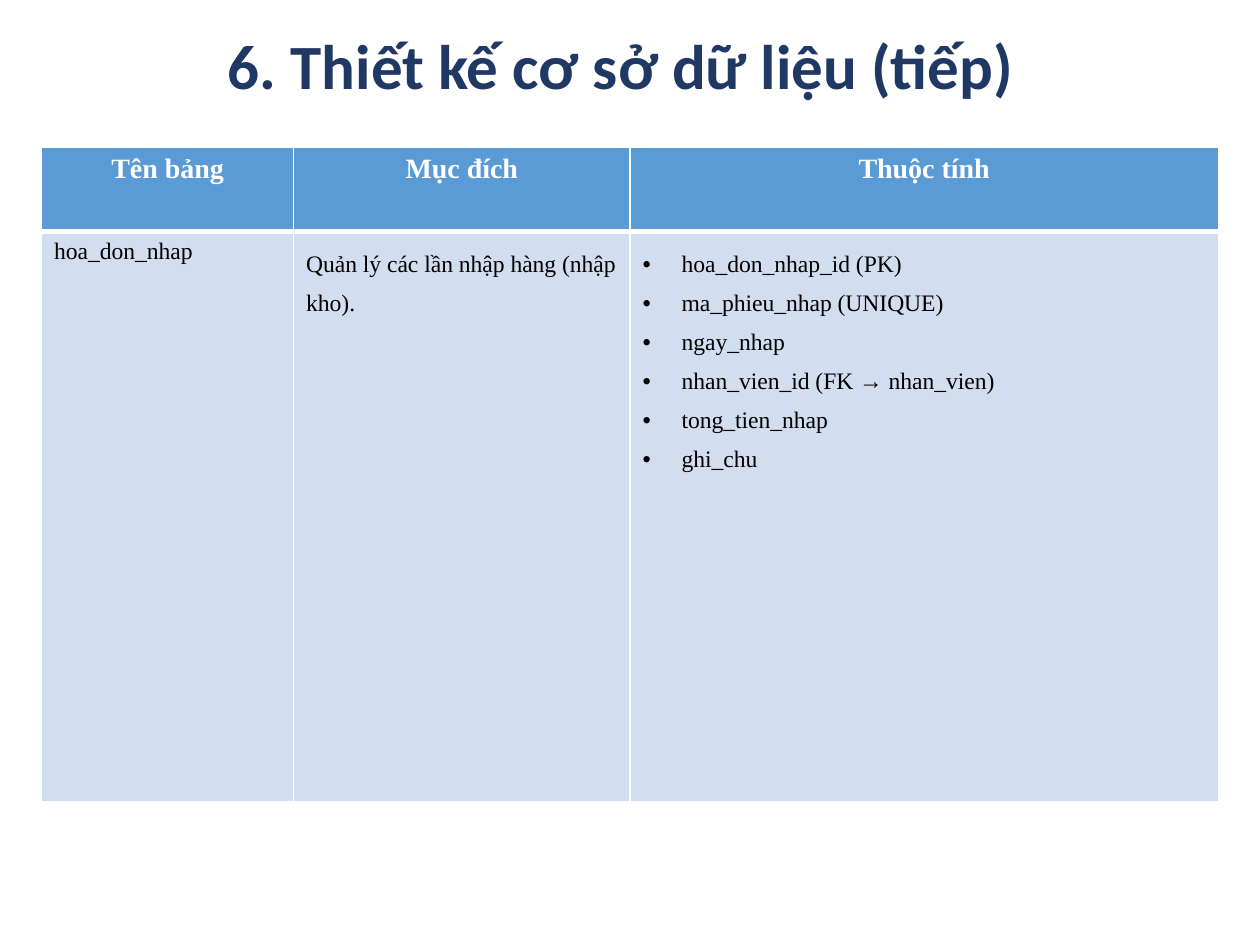
from lxml.etree import SubElement
from pptx import Presentation
from pptx.dml.color import RGBColor
from pptx.enum.text import MSO_ANCHOR, PP_ALIGN
from pptx.oxml.ns import qn
from pptx.util import Inches, Pt


def color(hex_code):
    return RGBColor.from_string(hex_code)


def add_borders(cell, widths):
    """Draw white cell edges; widths maps each edge to points."""
    properties = cell._tc.get_or_add_tcPr()
    for edge, width in widths.items():
        line = SubElement(properties, qn(f"a:ln{edge}"), w=str(Pt(width)))
        fill = SubElement(line, qn("a:solidFill"))
        SubElement(fill, qn("a:srgbClr"), val="FFFFFF")


presentation = Presentation()
presentation.slide_width = Inches(10)
presentation.slide_height = Inches(7.5)
slide = presentation.slides.add_slide(presentation.slide_layouts[6])

# Title
title = slide.shapes.add_textbox(Inches(1.71), Inches(0.3), Inches(6.58), Inches(0.5))
title_frame = title.text_frame
title_frame.word_wrap = True
title_frame.vertical_anchor = MSO_ANCHOR.MIDDLE
title_frame.text = "6. Thiết kế cơ sở dữ liệu (tiếp)"
paragraph = title_frame.paragraphs[0]
paragraph.line_spacing = 0.9
font = paragraph.runs[0].font
font.name, font.size, font.bold = "Calibri", Pt(36), True
font.color.rgb = color("203864")

# Table grid
rows = [
    ["Tên bảng", "Mục đích", "Thuộc tính"],
    [
        "hoa_don_nhap",
        "Quản lý các lần nhập hàng (nhập kho).",
        "hoa_don_nhap_id (PK)\nma_phieu_nhap (UNIQUE)\nngay_nhap\n"
        "nhan_vien_id (FK → nhan_vien)\ntong_tien_nhap\nghi_chu",
    ],
]
table = slide.shapes.add_table(
    2, 3, Inches(0.33), Inches(1.17), Inches(9.33), Inches(5.18)
).table
for column, width in zip(table.columns, (2, 2.67, 4.67)):
    column.width = Inches(width)
for row, height in zip(table.rows, (0.67, 4.52)):
    row.height = Inches(height)

# Table cells
for row_index, texts in enumerate(rows):
    header = row_index == 0
    for column_index, text in enumerate(texts):
        cell = table.cell(row_index, column_index)
        top, bottom = (1, 3) if header else (3, 1)
        add_borders(cell, {"L": 1, "R": 1, "T": top, "B": bottom})
        cell.fill.solid()
        cell.fill.fore_color.rgb = color("5B9BD5" if header else "D2DEEF")
        cell.text_frame.text = text
        for paragraph in cell.text_frame.paragraphs:
            if header:
                paragraph.alignment = PP_ALIGN.CENTER
            elif column_index > 0:
                paragraph.line_spacing = 1.5
            if not header and column_index == 2:
                properties = paragraph._p.get_or_add_pPr()
                properties.set("marL", str(Inches(0.31)))
                properties.set("indent", str(Inches(-0.31)))
                SubElement(properties, qn("a:buFont"), typeface="Arial")
                SubElement(properties, qn("a:buChar"), char="•")
            font = paragraph.runs[0].font
            font.name = "Times New Roman"
            font.size = Pt(16 if header else 13.5)
            font.bold = header
            font.color.rgb = color("FFFFFF" if header else "000000")

presentation.save("out.pptx")
